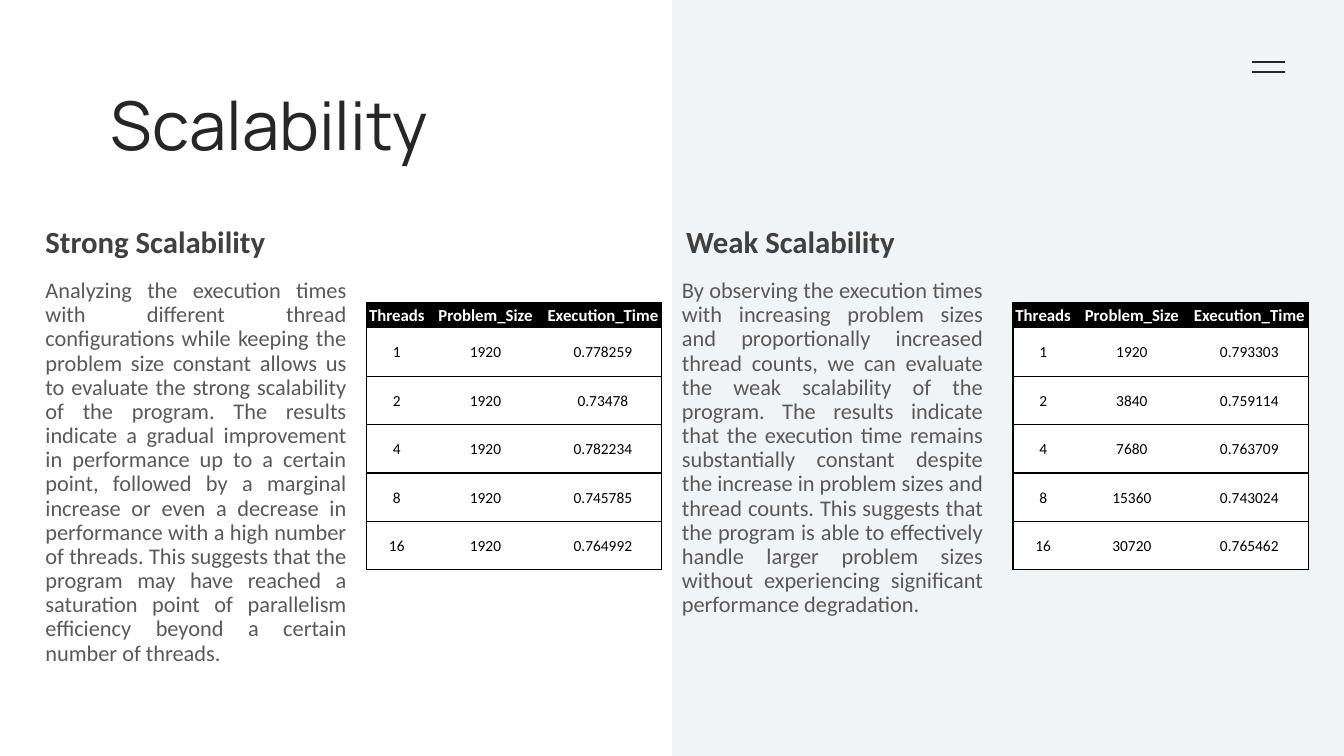
"""Builds the Scalability slide: strong and weak scaling, each with a text and a table."""
from dataclasses import dataclass

from lxml import etree
from pptx import Presentation
from pptx.dml.color import RGBColor
from pptx.enum.shapes import MSO_CONNECTOR, MSO_SHAPE
from pptx.enum.text import MSO_ANCHOR, MSO_AUTO_SIZE, PP_ALIGN
from pptx.oxml.ns import qn
from pptx.util import Cm, Pt

LEFT, CENTER, JUSTIFY = PP_ALIGN.LEFT, PP_ALIGN.CENTER, PP_ALIGN.JUSTIFY
TOP, MIDDLE, BOTTOM = MSO_ANCHOR.TOP, MSO_ANCHOR.MIDDLE, MSO_ANCHOR.BOTTOM
NO_FIT = MSO_AUTO_SIZE.NONE
RECTANGLE, STRAIGHT = MSO_SHAPE.RECTANGLE, MSO_CONNECTOR.STRAIGHT


@dataclass(frozen=True)
class Style:
    font: str
    size: float
    color: str
    bold: bool = False


@dataclass(frozen=True)
class Theme:
    panel: str = "F1F4F4"
    rule: str = "262626"
    border: str = "000000"
    header_fill: str = "000000"
    cell_fill: str = "FFFFFF"
    title: Style = Style("Manrope", 48, "262626")
    heading: Style = Style("Calibri", 22, "404040", True)
    body: Style = Style("Calibri", 16, "595959")
    header: Style = Style("Calibri", 12, "FFFFFF", True)
    cell: Style = Style("Calibri", 11, "000000")


THEME = Theme()
HEADER = ("Threads", "Problem_Size", "Execution_Time")
COLUMN_WIDTHS = (1.52, 2.95, 2.97)
HEADER_HEIGHT, ROW_HEIGHT = 0.64, 1.22

SECTIONS = (
    {
        "heading": "Strong Scalability",
        "heading_box": (0.89, 4.62, 8.1, 2.06),
        "body": "Analyzing the execution times with different thread configurations while keeping "
                "the problem size constant allows us to evaluate the strong scalability of the "
                "program. The results indicate a gradual improvement in performance up to a certain "
                "point, followed by a marginal increase or even a decrease in performance with a "
                "high number of threads. This suggests that the program may have reached a "
                "saturation point of parallelism efficiency beyond a certain number of threads.",
        "body_left": 0.89,
        "table_left": 9.24,
        "rows": (("1", "1920", "0.778259"), ("2", "1920", "0.73478"), ("4", "1920", "0.782234"),
                 ("8", "1920", "0.745785"), ("16", "1920", "0.764992")),
    },
    {
        "heading": "Weak Scalability",
        "heading_box": (17.04, 4.62, 9.42, 2.06),
        "body": "By observing the execution times with increasing problem sizes and proportionally "
                "increased thread counts, we can evaluate the weak scalability of the program. The "
                "results indicate that the execution time remains substantially constant despite "
                "the increase in problem sizes and thread counts. This suggests that the program is "
                "able to effectively handle larger problem sizes without experiencing significant "
                "performance degradation.",
        "body_left": 16.93,
        "table_left": 25.53,
        "rows": (("1", "1920", "0.793303"), ("2", "3840", "0.759114"), ("4", "7680", "0.763709"),
                 ("8", "15360", "0.743024"), ("16", "30720", "0.765462")),
    },
)


def add_span(para, text, style, align):
    """Add one styled run to an aligned paragraph."""
    para.alignment = align
    span = para.add_run()
    span.text = text
    span.font.name = style.font
    span.font.size = Pt(style.size)
    span.font.bold = style.bold
    span.font.color.rgb = RGBColor.from_string(style.color)


def fill_placeholder(box, bounds, text, style, align, anchor):
    """Move a placeholder and give it one paragraph without a bullet."""
    box.left, box.top, box.width, box.height = (Cm(length) for length in bounds)
    frame = box.text_frame
    frame.word_wrap = True
    frame.auto_size = NO_FIT
    frame.vertical_anchor = anchor
    para = frame.paragraphs[0]
    para.line_spacing = 0.9
    para.space_before = Pt(0 if style is THEME.title else 10)
    add_span(para, text, style, align)
    properties = para._p.get_or_add_pPr()
    properties.set("marL", "0")
    properties.set("indent", "0")
    etree.SubElement(properties, qn("a:buNone"))


deck = Presentation()
deck.slide_width, deck.slide_height = Cm(33.87), Cm(19.05)
page = deck.slides.add_slide(deck.slide_layouts.get_by_name("Comparison"))
title = page.shapes.title

panel = page.shapes.add_shape(RECTANGLE, Cm(16.93), Cm(0), Cm(16.94), Cm(19.05))
panel.shadow.inherit = False
panel.fill.solid()
panel.fill.fore_color.rgb = RGBColor.from_string(THEME.panel)
panel.line.fill.background()
title.element.addprevious(panel.element)

for rule_top in (1.57, 1.81):
    rule = page.shapes.add_connector(STRAIGHT, Cm(31.55), Cm(rule_top), Cm(32.39), Cm(rule_top))
    rule.line.color.rgb = RGBColor.from_string(THEME.rule)
    rule.line.width = Pt(1.5)
    etree.SubElement(rule.element.spPr, qn("a:effectLst"))
    title.element.addprevious(rule.element)

fill_placeholder(title, (2.54, 2.21, 29.01, 3.68), "Scalability", THEME.title, LEFT, TOP)

slots = {slot.placeholder_format.idx: slot for slot in page.placeholders}
for index, section in enumerate(SECTIONS):
    fill_placeholder(slots[2 * index + 1], section["heading_box"], section["heading"],
                     THEME.heading, LEFT, BOTTOM)
    fill_placeholder(slots[2 * index + 2], (section["body_left"], 6.91, 8.1, 5.72),
                     section["body"], THEME.body, JUSTIFY, TOP)

    records = (HEADER, *section["rows"])
    table = page.shapes.add_table(
        len(records), len(HEADER), Cm(section["table_left"]), Cm(7.62),
        Cm(sum(COLUMN_WIDTHS)), Cm(HEADER_HEIGHT + ROW_HEIGHT * len(section["rows"]))).table
    table.horz_banding = False
    for column, width in zip(table.columns, COLUMN_WIDTHS):
        column.width = Cm(width)

    for row_index, record in enumerate(records):
        is_header = row_index == 0
        table.rows[row_index].height = Cm(HEADER_HEIGHT if is_header else ROW_HEIGHT)
        for column_index, value in enumerate(record):
            cell = table.cell(row_index, column_index)
            cell.margin_left = cell.margin_right = cell.margin_top = Cm(0.03)
            cell.margin_bottom = Cm(0)
            cell.vertical_anchor = MIDDLE
            add_span(cell.text_frame.paragraphs[0], value,
                     THEME.header if is_header else THEME.cell, CENTER)

            properties = cell._tc.get_or_add_tcPr()
            edges = {"a:lnL": column_index == 0, "a:lnR": column_index == len(HEADER) - 1,
                     "a:lnT": True, "a:lnB": True}
            for edge, drawn in edges.items():
                border = etree.SubElement(properties, qn(edge), w=str(Pt(1)))
                if drawn:
                    ink = etree.SubElement(border, qn("a:solidFill"))
                    etree.SubElement(ink, qn("a:srgbClr"), val=THEME.border)
                else:
                    etree.SubElement(border, qn("a:noFill"))
            cell.fill.solid()
            cell.fill.fore_color.rgb = RGBColor.from_string(
                THEME.header_fill if is_header else THEME.cell_fill)

deck.save("out.pptx")
